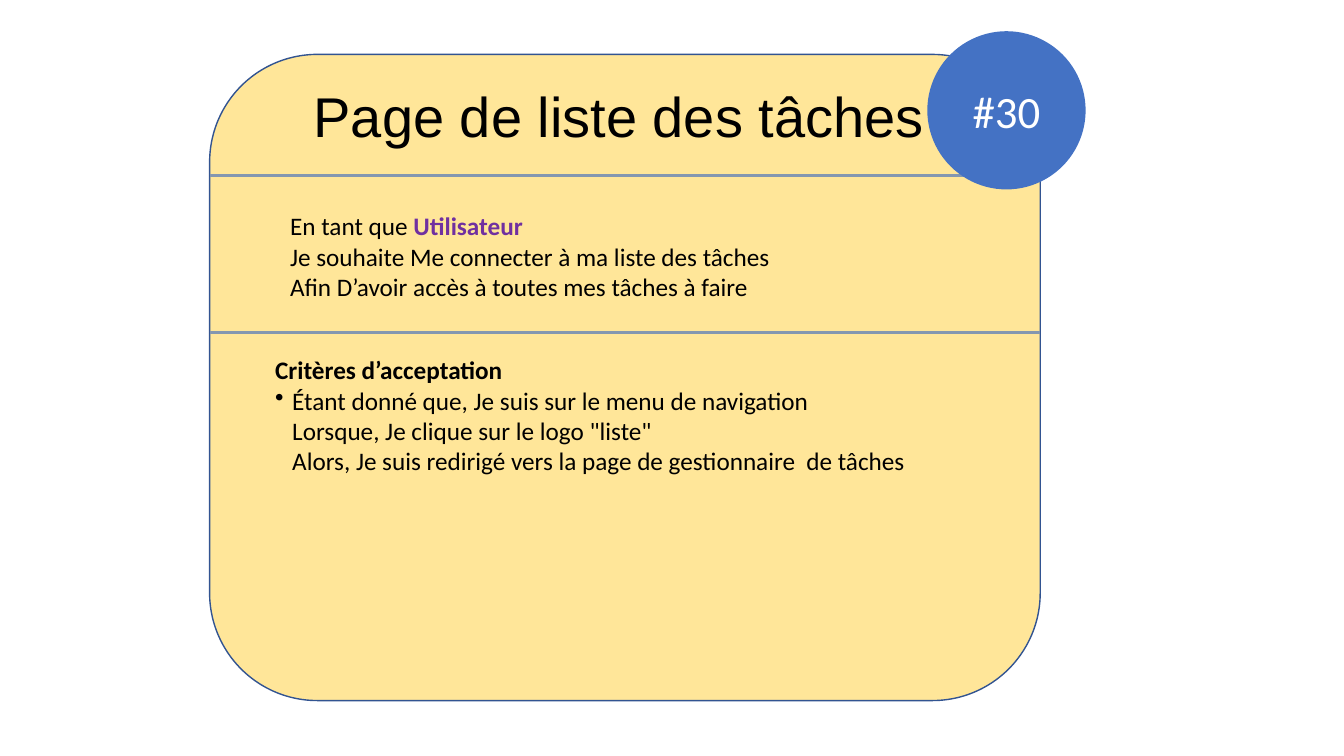
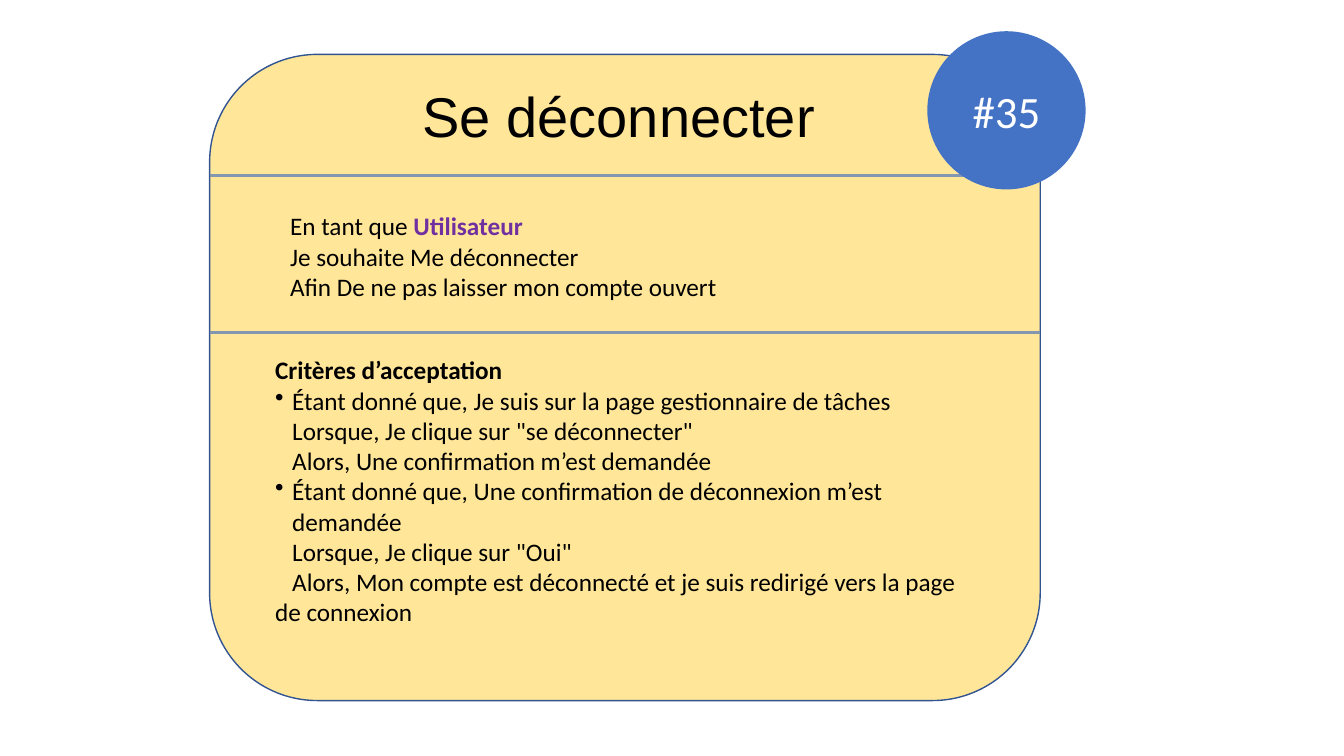
from dataclasses import dataclass
from lxml.etree import SubElement
from pptx import Presentation
from pptx.dml.color import RGBColor
from pptx.enum.shapes import MSO_CONNECTOR, MSO_SHAPE
from pptx.enum.text import MSO_ANCHOR, MSO_AUTO_SIZE, PP_ALIGN
from pptx.oxml.ns import qn
from pptx.util import Inches, Pt

STORIES = [
    {
        "number": "#30",
        "title": "Page de liste des tâches",
        "role": "Utilisateur",
        "wish": "Me connecter à ma liste des tâches",
        "benefit": "D’avoir accès à toutes mes tâches à faire",
        "criteria": [
            ("Je suis sur le menu de navigation",
             'Je clique sur le logo "liste"',
             "Je suis redirigé vers la page de gestionnaire  de tâches"),
        ],
        "criteria_rows": 4,
    },
    {
        "number": "#35",
        "title": "Se déconnecter",
        "role": "Utilisateur",
        "wish": "Me déconnecter",
        "benefit": "De ne pas laisser mon compte ouvert",
        "criteria": [
            ("Je suis sur la page gestionnaire de tâches",
             'Je clique sur "se déconnecter"',
             "Une confirmation m’est demandée"),
            ("Une confirmation de déconnexion m’est demandée",
             'Je clique sur "Oui"',
             "Mon compte est déconnecté et je suis redirigé vers la page de connexion"),
        ],
        "criteria_rows": 9,
    },
]
CRITERIA_HEADING = "Critères d’acceptation"
STEP_WORDS = ("Étant donné que", "Lorsque", "Alors")


@dataclass(frozen=True)
class Theme:
    card: str = "FFE699"
    card_edge: str = "325491"
    rule: str = "8497B0"
    badge: str = "4472C4"
    badge_text: str = "FFFFFF"
    text: str = "000000"
    role: str = "7030A0"
    title_font: str = "Arial"
    body_font: str = "Calibri"
    title_size: int = 40
    badge_size: int = 32
    body_size: int = 18
    edge_width: float = 1
    rule_width: float = 2.25


THEME = Theme()
WIDTH, HEIGHT = Inches(13.33), Inches(7.5)
STEP_INDENT = Inches(0.17)

# Shares of the slide in percent: left, top, width, height
CARD = (15.6, 7.2, 61.8, 85.47)
TITLE = (20.85, 10.13, 50.35, 10.27)
STORY = (20.85, 27.2, 51.55, 13.47)
CRITERIA = (19.73, 46.27, 52.6)
BADGE = (69, 4.13, 11.78, 20.93)
RULES = (23.2, 44)
ROW, PADDING = 4.04, 1.33


def across(share):
    return round(WIDTH * share / 100)


def down(share):
    return round(HEIGHT * share / 100)


def place(left, top, width, height):
    return across(left), down(top), across(width), down(height)


def rgb(value):
    return RGBColor.from_string(value)


def style(run, size, color=THEME.text, font=THEME.body_font, bold=False):
    run.font.size = Pt(size)
    run.font.name = font
    run.font.bold = bold
    run.font.color.rgb = rgb(color)


def add_panel(slide, kind, area, fill):
    panel = slide.shapes.add_shape(kind, *place(*area))
    panel.shadow.inherit = False
    panel.fill.solid()
    panel.fill.fore_color.rgb = rgb(fill)
    return panel


def add_text(slide, area, lines):
    frame = slide.shapes.add_textbox(*place(*area)).text_frame
    frame.word_wrap = True
    frame.auto_size = MSO_AUTO_SIZE.SHAPE_TO_FIT_TEXT
    frame.text = "\n".join(lines)
    for paragraph in frame.paragraphs:
        for run in paragraph.runs:
            style(run, THEME.body_size)
    return frame


def add_card(slide):
    card = add_panel(slide, MSO_SHAPE.ROUNDED_RECTANGLE, CARD, THEME.card)
    card.line.color.rgb = rgb(THEME.card_edge)
    card.line.width = Pt(THEME.edge_width)


def add_rules(slide):
    left, right = across(CARD[0]), across(CARD[0] + CARD[2])
    for share in RULES:
        rule = slide.shapes.add_connector(
            MSO_CONNECTOR.STRAIGHT, left, down(share), right, down(share))
        rule.line.color.rgb = rgb(THEME.rule)
        rule.line.width = Pt(THEME.rule_width)
        SubElement(rule._element.spPr, qn("a:effectLst"))


def add_title(slide, title):
    heading = add_text(slide, TITLE, [title]).paragraphs[0]
    heading.alignment = PP_ALIGN.CENTER
    style(heading.runs[0], THEME.title_size, font=THEME.title_font)


def add_story(slide, story):
    frame = add_text(slide, STORY, [
        "En tant que ", f"Je souhaite {story['wish']}", f"Afin {story['benefit']}"])
    role = frame.paragraphs[0].add_run()
    role.text = story["role"]
    style(role, THEME.body_size, THEME.role, bold=True)


def add_criteria(slide, story):
    steps = [f"{word}, {step}" for criterion in story["criteria"]
             for word, step in zip(STEP_WORDS, criterion)]
    area = (*CRITERIA, PADDING + ROW * story["criteria_rows"])
    heading, *paragraphs = add_text(slide, area, [CRITERIA_HEADING, *steps]).paragraphs
    heading.runs[0].font.bold = True
    for position, paragraph in enumerate(paragraphs):
        properties = paragraph._p.get_or_add_pPr()
        if position % len(STEP_WORDS) == 0:
            properties.set("marL", str(STEP_INDENT))
            properties.set("indent", str(-STEP_INDENT))
            SubElement(properties, qn("a:buChar"), char="•")
        else:
            properties.set("marL", "0")
            properties.set("indent", str(STEP_INDENT))
            SubElement(properties, qn("a:buNone"))


def add_badge(slide, number):
    badge = add_panel(slide, MSO_SHAPE.OVAL, BADGE, THEME.badge)
    badge.line.fill.background()
    frame = badge.text_frame
    frame.text = number
    frame.vertical_anchor = MSO_ANCHOR.MIDDLE
    label = frame.paragraphs[0]
    label.alignment = PP_ALIGN.CENTER
    style(label.runs[0], THEME.badge_size, THEME.badge_text)


def main():
    deck = Presentation()
    deck.slide_width, deck.slide_height = WIDTH, HEIGHT
    for story in STORIES:
        slide = deck.slides.add_slide(deck.slide_layouts[6])
        add_card(slide)
        add_title(slide, story["title"])
        add_rules(slide)
        add_story(slide, story)
        add_criteria(slide, story)
        add_badge(slide, story["number"])
    deck.save("out.pptx")


if __name__ == "__main__":
    main()
